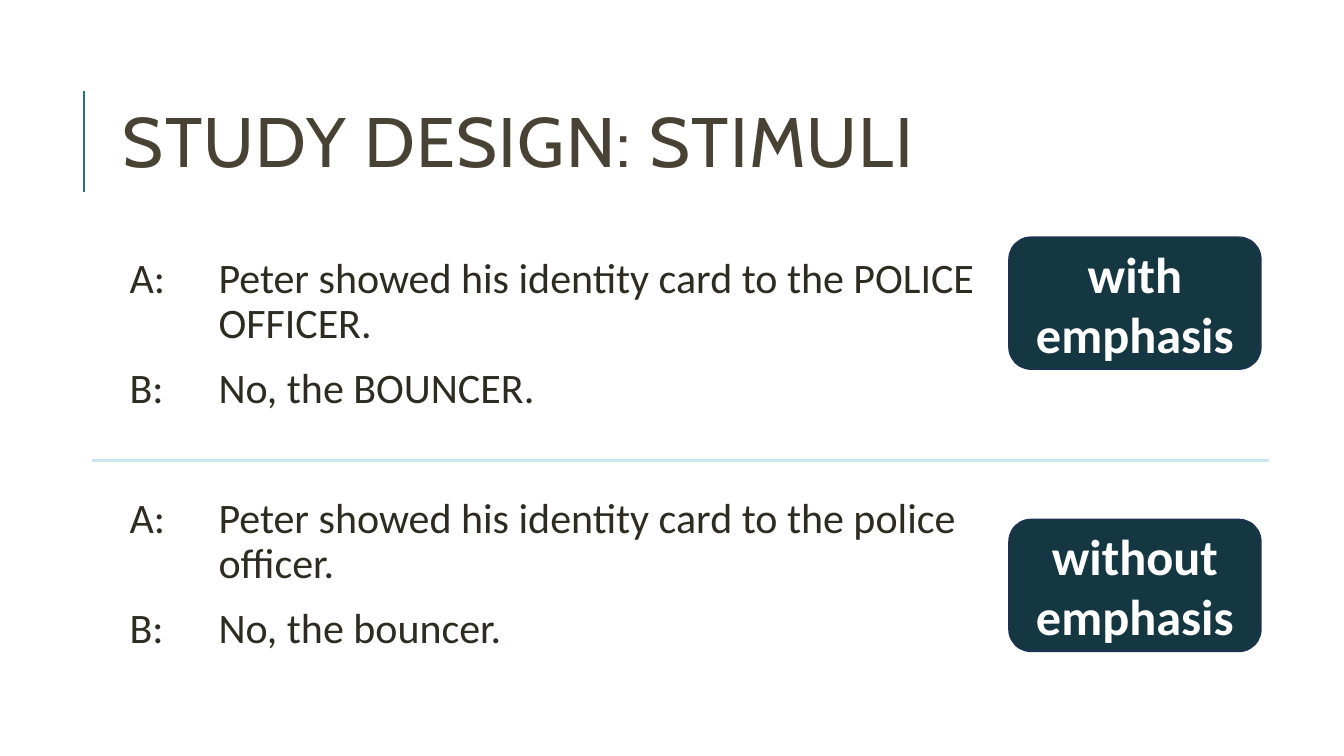
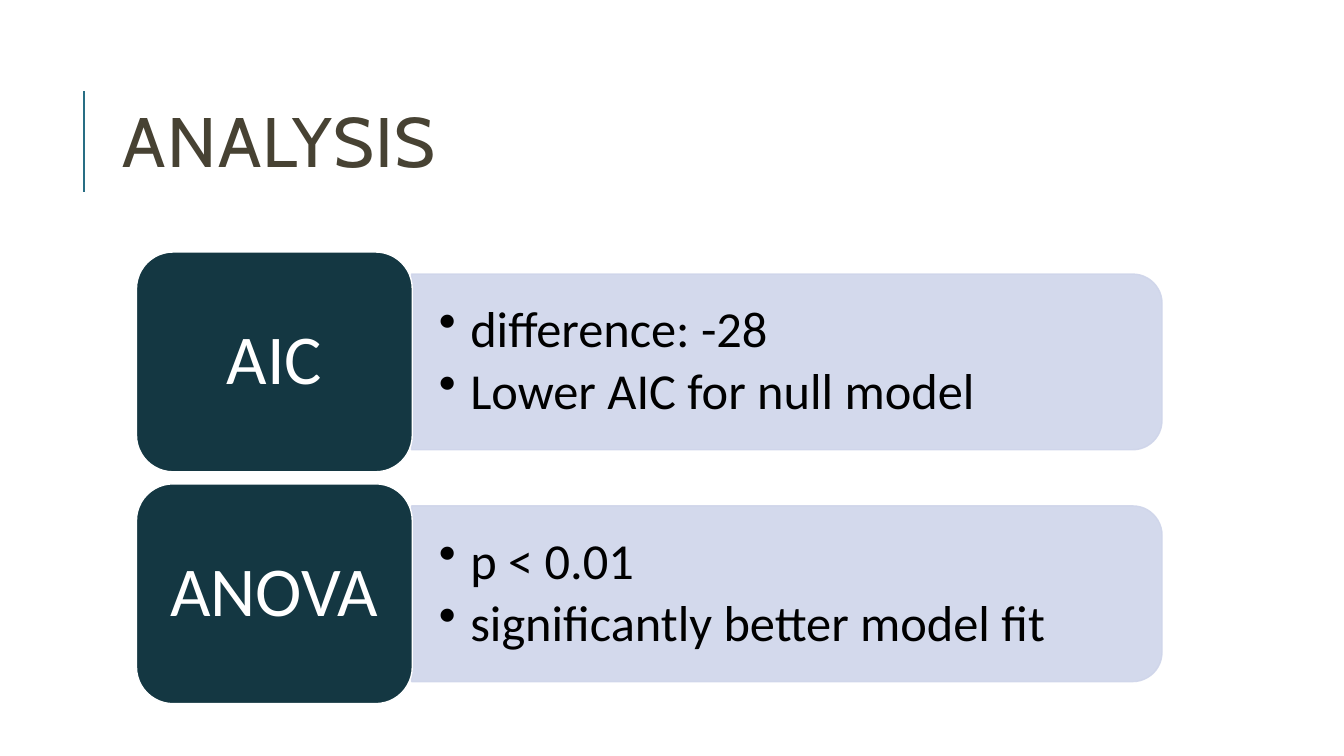
import pptx
import pptx.dml.color
import pptx.enum.shapes
import pptx.enum.text
import pptx.oxml
import pptx.oxml.ns
import pptx.util
from pptx.dml.color import RGBColor
from pptx.enum.shapes import MSO_SHAPE
from pptx.enum.text import MSO_ANCHOR, PP_ALIGN
from pptx.oxml.ns import qn
from pptx.util import Pt

TITLE_BROWN = RGBColor(0x47, 0x42, 0x33)
TEXT_BROWN = RGBColor(0x2E, 0x2B, 0x21)
TEAL = RGBColor(0x28, 0x6E, 0x84)
PALE_TEAL = RGBColor(0xCB, 0xE7, 0xEF)
DARK_TEAL = RGBColor(0x14, 0x37, 0x42)
NAVY = RGBColor(0x1E, 0x32, 0x56)
LAVENDER = RGBColor(0xCF, 0xD5, 0xEA)
WHITE = RGBColor(0xFF, 0xFF, 0xFF)
BLACK = RGBColor(0, 0, 0)

TITLE_FONT = "Cabin"
BODY_FONT = "Calibri"
DIALOGUE_PITCH = 171.4
BADGE_PITCH = 201.6
RESULT_PITCH = 165.6


def format_text(shape, size, color, font=BODY_FONT, bold=False,
                align=PP_ALIGN.LEFT, line_spacing=1.0, before=0, after=0):
    for paragraph in shape.text_frame.paragraphs:
        paragraph.alignment = align
        paragraph.line_spacing = line_spacing
        paragraph.space_before = Pt(before)
        paragraph.space_after = Pt(after)
        for run in paragraph.runs:
            run.font.name = font
            run.font.size = Pt(size)
            run.font.bold = bold
            run.font.color.rgb = color


def set_hanging_indent(shape, indent, bullet=None):
    """Hang every paragraph of the shape, with an optional bullet character."""
    for properties in shape.element.iter(qn("a:pPr")):
        properties.set("marL", str(Pt(indent)))
        properties.set("indent", str(-Pt(indent)))
        if bullet:
            mark = pptx.oxml.parse_xml(
                f'<a:buChar {pptx.oxml.ns.nsdecls("a")} char="{bullet}"/>')
            properties.append(mark)


def set_opacity(shape, percent):
    for color in shape.element.spPr.iter(qn("a:srgbClr")):
        alpha = color.makeelement(qn("a:alpha"), {"val": str(percent * 1000)})
        color.append(alpha)


def add_line(slide, start, end, color, width):
    connector = slide.shapes.add_connector(
        pptx.enum.shapes.MSO_CONNECTOR.STRAIGHT, *map(Pt, start + end))
    connector.line.color.rgb = color
    connector.line.width = Pt(width)
    properties = connector.element.spPr
    properties.append(properties.makeelement(qn("a:effectLst"), {}))


def add_panel(slide, kind, left, top, width, height, fill, line):
    shape = slide.shapes.add_shape(kind, Pt(left), Pt(top), Pt(width), Pt(height))
    shape.shadow.inherit = False
    shape.fill.solid()
    shape.fill.fore_color.rgb = fill
    shape.line.color.rgb = line
    shape.line.width = Pt(1)
    return shape


def add_text_box(slide, left, top, width, height, lines, anchor, inset_x, inset_y):
    box = slide.shapes.add_textbox(Pt(left), Pt(top), Pt(width), Pt(height))
    frame = box.text_frame
    frame.word_wrap = True
    frame.vertical_anchor = anchor
    frame.margin_left = frame.margin_right = Pt(inset_x)
    frame.margin_top = frame.margin_bottom = Pt(inset_y)
    frame.text = "\n".join(lines)
    return box


def add_titled_slide(presentation, text):
    slide = presentation.slides.add_slide(presentation.slide_layouts[5])
    add_line(slide, (60, 137), (60, 65), TEAL, 1.5)
    title = slide.shapes.title
    title.left, title.top, title.width, title.height = map(Pt, (80.6, 46, 765, 118))
    frame = title.text_frame
    frame.text = text
    frame.auto_size = pptx.enum.text.MSO_AUTO_SIZE.NONE
    frame.vertical_anchor = MSO_ANCHOR.MIDDLE
    format_text(title, 50, TITLE_BROWN, font=TITLE_FONT, line_spacing=0.8)
    for properties in title.element.iter(qn("a:rPr")):
        properties.set("spc", "100")
    return slide


def add_badge(slide, top, text):
    badge = add_panel(slide, MSO_SHAPE.ROUNDED_RECTANGLE,
                      720.7, top, 180, 94.3, DARK_TEAL, NAVY)
    badge.text_frame.text = text
    format_text(badge, 36, WHITE, bold=True, align=PP_ALIGN.CENTER)


def add_dialogue(slide, top, lines):
    """Add the turns of speakers A and B, aligned after the speaker names."""
    turns = [f"{speaker}:\t{line}" for speaker, line in zip("AB", lines)]
    box = add_text_box(slide, 89, top, 624, 125, turns, MSO_ANCHOR.TOP, 3.6, 3.6)
    format_text(box, 30, TEXT_BROWN, line_spacing=0.9, before=12, after=2)
    set_hanging_indent(box, 63.5)


def add_result(slide, top, label, findings):
    """Add a label block with a bar of bulleted findings to its right."""
    label_left, label_width, label_height = 97.5, 197, 157
    bar_length, bar_height = 536, 125.5
    bar_left = label_left + label_width - 0.5
    bar_top = top + (label_height - bar_height) / 2

    # The bar is a tall shape turned by 90 degrees about its centre.
    offset = (bar_length - bar_height) / 2
    bar = add_panel(slide, MSO_SHAPE.ROUND_2_SAME_RECTANGLE, bar_left + offset,
                    bar_top - offset, bar_height, bar_length, LAVENDER, LAVENDER)
    bar.rotation = 90
    set_opacity(bar, 90)

    box = add_text_box(slide, bar_left, bar_top, bar_length, bar_height,
                       findings, MSO_ANCHOR.MIDDLE, 19.4, 10)
    format_text(box, 36, BLACK, line_spacing=0.9, after=5.4)
    set_hanging_indent(box, 22.5, "•")

    block = add_panel(slide, MSO_SHAPE.ROUNDED_RECTANGLE, label_left, top,
                      label_width, label_height, DARK_TEAL, WHITE)
    block.text_frame.text = label
    format_text(block, 50, WHITE, align=PP_ALIGN.CENTER, line_spacing=0.9)


def add_stimuli_slide(presentation):
    slide = add_titled_slide(presentation, "STUDY DESIGN: STIMULI")
    add_line(slide, (906.5, 329), (65.5, 329), PALE_TEAL, 2.25)
    conditions = [
        ("with emphasis", ["Peter showed his identity card to the POLICE OFFICER.",
                           "No, the BOUNCER."]),
        ("without emphasis", ["Peter showed his identity card to the police officer.",
                              "No, the bouncer."]),
    ]
    for index, (name, lines) in enumerate(conditions):
        add_badge(slide, 169.4 + index * BADGE_PITCH, name)
        add_dialogue(slide, 180 + index * DIALOGUE_PITCH, lines)


def add_analysis_slide(presentation):
    slide = add_titled_slide(presentation, "ANALYSIS")
    results = [
        ("AIC", ["difference: -28", "Lower AIC for null model"]),
        ("ANOVA", ["p < 0.01", "significantly better model fit"]),
    ]
    for index, (label, findings) in enumerate(results):
        add_result(slide, 180 + index * RESULT_PITCH, label, findings)


def main():
    presentation = pptx.Presentation()
    presentation.slide_width = Pt(960)
    presentation.slide_height = Pt(540)
    add_stimuli_slide(presentation)
    add_analysis_slide(presentation)
    presentation.save("out.pptx")


if __name__ == "__main__":
    main()
